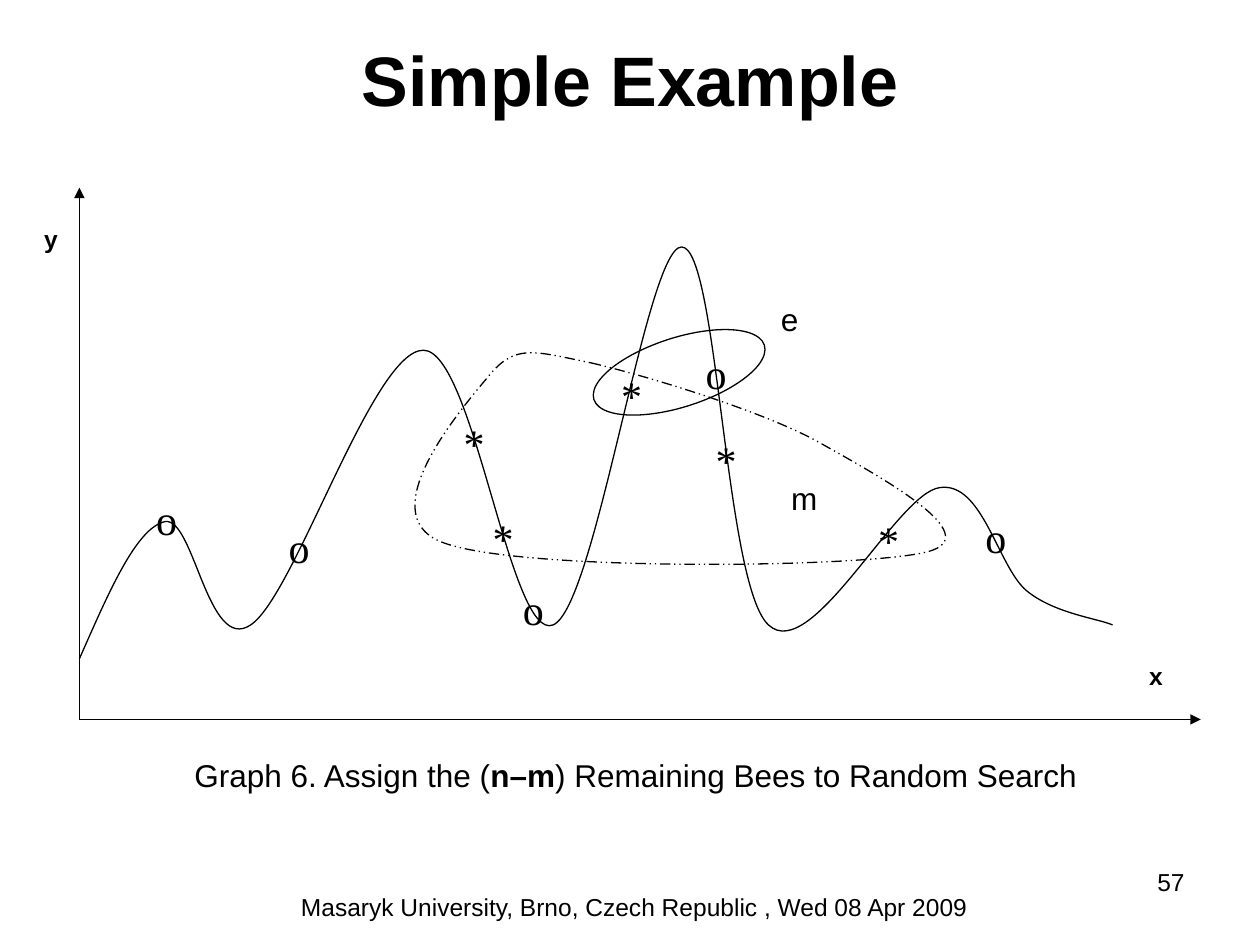
from dataclasses import dataclass
from typing import Any

from lxml.etree import SubElement
from pptx import Presentation
from pptx.dml.color import RGBColor
from pptx.enum.dml import MSO_LINE as Dash
from pptx.enum.shapes import MSO_CONNECTOR as Connector, MSO_SHAPE as Shape
from pptx.enum.text import MSO_ANCHOR as Anchor, PP_ALIGN as Align
from pptx.oxml.ns import qn
from pptx.util import Inches, Pt


def color(code):
    return RGBColor.from_string(code)


@dataclass
class Painter:
    page: Any
    ink: str = "000000"
    font: str = "Arial"
    marker_font: str = "Times New Roman"
    stroke: float = 0.75

    def text(self, at, runs, size, bold=False, align=Align.LEFT, anchor=Anchor.TOP,
             font=None, inset=(0.1, 0.05), wrap=True):
        box = self.page.shapes.add_textbox(*map(Inches, at))
        frame = box.text_frame
        frame.word_wrap = wrap
        frame.vertical_anchor = anchor
        frame.margin_left = frame.margin_right = Inches(inset[0])
        frame.margin_top = frame.margin_bottom = Inches(inset[1])
        para = frame.paragraphs[0]
        para.alignment = align
        para.font.name = font or self.font
        para.font.size = Pt(size)
        para.font.color.rgb = color(self.ink)
        if bold:
            para.font.bold = True
        for words, strong in runs:
            span = para.add_run()
            span.text = words
            if strong:
                span.font.bold = True

    def label(self, at, words, size, **style):
        self.text(at, [(words, False)], size, **style)

    def marker(self, symbol, left, top):
        self.label((left, top, 0.16, 0.16), symbol, 24, align=Align.CENTER,
                   font=self.marker_font, inset=(0, 0))

    def pen(self, shape, dash=None):
        shape.line.color.rgb = color(self.ink)
        shape.line.width = Pt(self.stroke)
        if dash:
            shape.line.dash_style = dash

    def arrow(self, start, end):
        line = self.page.shapes.add_connector(
            Connector.STRAIGHT, *map(Inches, (*start, *end)))
        self.pen(line)
        SubElement(line.line._get_or_add_ln(), qn("a:tailEnd"), type="triangle")
        SubElement(line._element.spPr, qn("a:effectLst"))

    def outline(self, shape, dash=None):
        shape.shadow.inherit = False
        shape.fill.background()
        self.pen(shape, dash)

    def ellipse(self, at, rotation):
        oval = self.page.shapes.add_shape(Shape.OVAL, *map(Inches, at))
        oval.rotation = rotation
        self.outline(oval)

    def curve(self, points, closed=False, dash=None):
        start, *controls = [(Inches(x), Inches(y)) for x, y in points]
        builder = self.page.shapes.build_freeform(*start)
        builder.add_line_segments(controls, close=closed)
        shape = builder.convert_to_shape()
        segments = list(shape._element.iter(qn("a:lnTo")))
        for index in range(0, len(segments), 3):
            bezier = segments[index]
            bezier.tag = qn("a:cubicBezTo")
            for extra in segments[index + 1:index + 3]:
                bezier.append(extra[0])
                extra.getparent().remove(extra)
        self.outline(shape, dash)


LANDSCAPE = [
    (0.63, 5.23),
    (0.86, 4.71), (1.08, 4.19), (1.31, 4.14),
    (1.54, 4.1), (1.65, 5.19), (1.99, 4.96),
    (2.34, 4.73), (2.96, 2.78), (3.36, 2.78),
    (3.76, 2.78), (4.05, 5.1), (4.39, 4.96),
    (4.73, 4.82), (5.13, 1.96), (5.41, 1.96),
    (5.7, 1.96), (5.75, 4.64), (6.1, 4.96),
    (6.44, 5.28), (7.12, 3.91), (7.46, 3.87),
    (7.8, 3.82), (7.92, 4.5), (8.15, 4.69),
    (8.37, 4.87), (8.72, 4.91), (8.83, 4.96),
]
SELECTED_SITES = [
    (4.69, 2.88),
    (5.12, 2.98), (6.05, 3.26), (6.5, 3.51),
    (6.94, 3.76), (7.86, 4.25), (7.36, 4.38),
    (6.86, 4.51), (4.08, 4.54), (3.5, 4.3),
    (2.93, 4.07), (3.7, 3.2), (3.9, 2.96),
    (4.1, 2.73), (4.25, 2.79), (4.69, 2.88),
]
BEES = {
    "*": [(4.93, 2.93), (3.91, 4.07), (3.68, 3.31), (5.68, 3.45), (6.97, 4.08)],
    "o": [(1.24, 3.92), (5.6, 2.76), (7.82, 4.06), (4.15, 4.63), (2.29, 4.14)],
}
ORIGIN = (0.63, 5.71)


def main():
    deck = Presentation()
    deck.slide_width, deck.slide_height = Inches(10), Inches(7.5)
    painter = Painter(deck.slides.add_slide(deck.slide_layouts[6]))

    painter.label((2.16, 7.03, 5.75, 0.52),
                  "Masaryk University, Brno, Czech Republic , Wed 08 Apr 2009",
                  14, align=Align.CENTER)
    painter.label((7.17, 6.83, 2.33, 0.52), "57", 14, align=Align.RIGHT)

    for axis_end in ((0.63, 1.49), (9.53, 5.71)):
        painter.arrow(ORIGIN, axis_end)
    for name, left, top in (("x", 9.12, 5.25), ("y", 0.35, 1.78)):
        painter.label((left, top, 0.47, 0.47), name, 14, bold=True, inset=(0, 0))

    painter.curve(LANDSCAPE)
    painter.text((1.44, 5.95, 7.21, 0.4),
                 [("Graph 6. Assign the (", False), ("n–m", True),
                  (") Remaining Bees to Random Search", False)],
                 18, align=Align.CENTER, anchor=Anchor.MIDDLE, wrap=False)
    for symbol, places in BEES.items():
        for left, top in places:
            painter.marker(symbol, left, top)

    painter.curve(SELECTED_SITES, closed=True, dash=Dash.DASH_DOT_DOT)
    painter.ellipse((4.68, 2.68, 1.42, 0.55), 342.3)
    for name, left, top in (("m", 6.18, 3.75), ("e", 6.1, 2.33)):
        painter.label((left, top, 0.63, 0.4), name, 18)
    painter.label((0, 0, 10, 1.25), "Simple Example", 40, bold=True,
                  align=Align.CENTER, anchor=Anchor.MIDDLE)
    deck.save("out.pptx")


if __name__ == "__main__":
    main()
